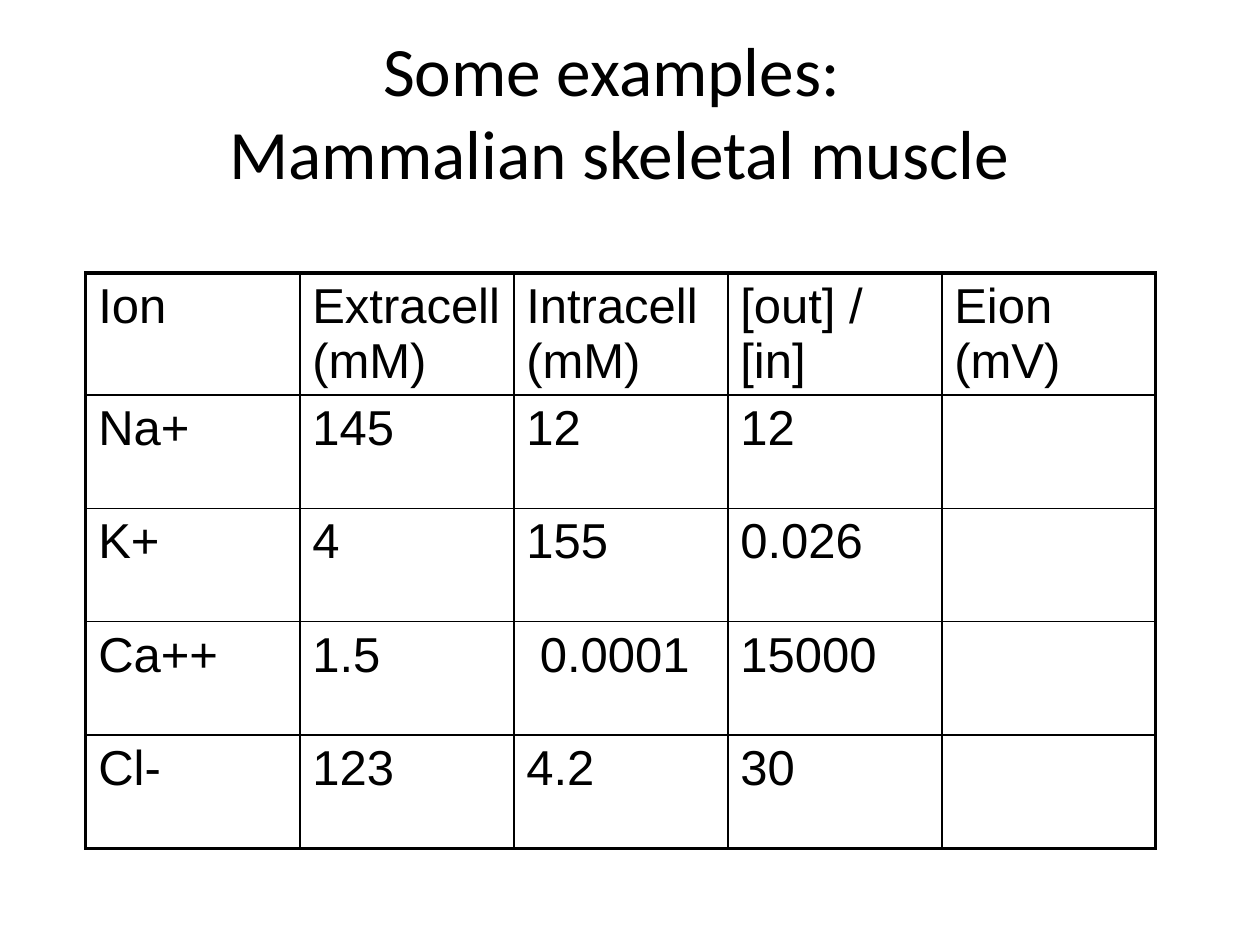
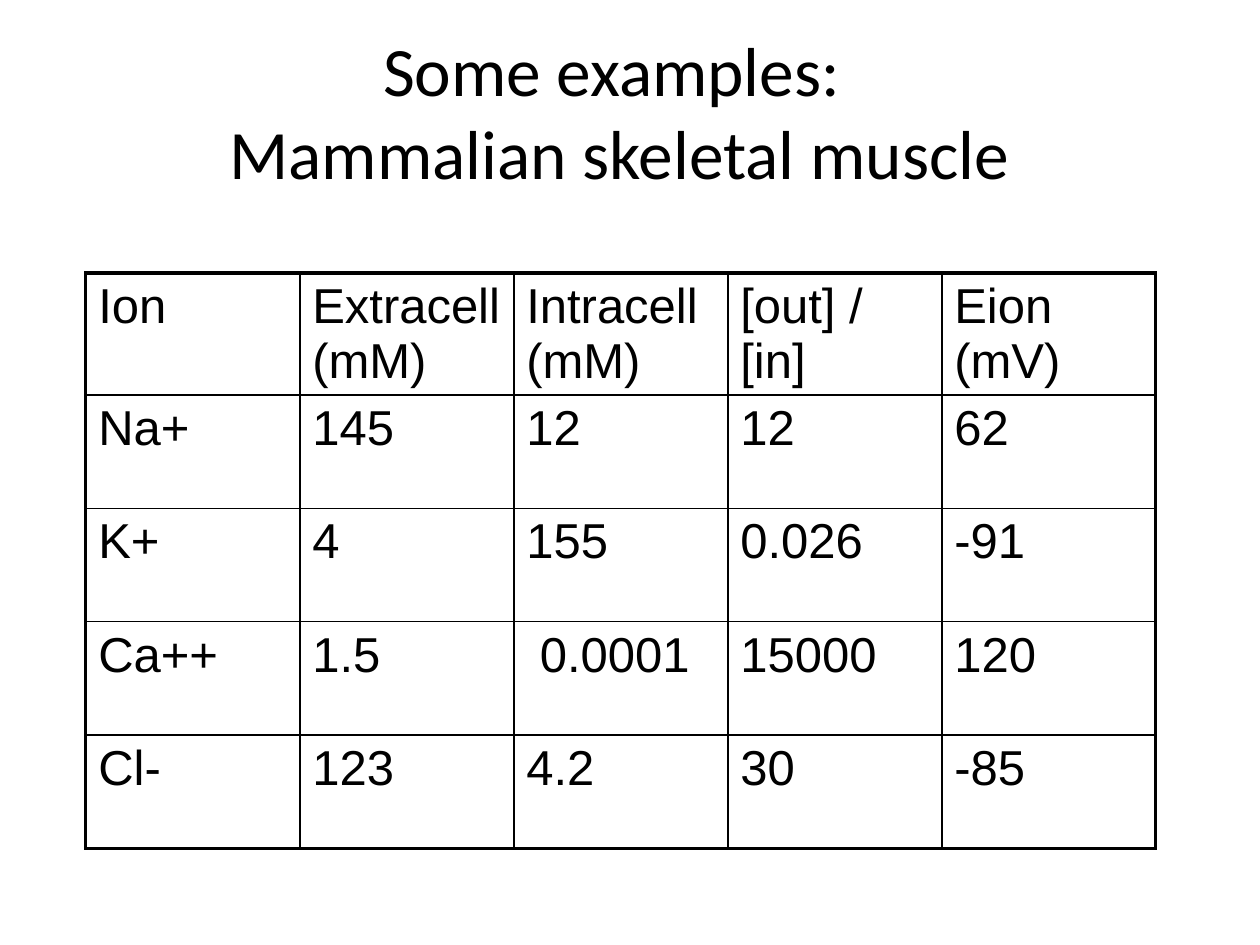
import lxml.etree
import pptx
import pptx.dml.color
import pptx.enum.text
import pptx.oxml.ns
import pptx.util

Pt = pptx.util.Pt

INK = "000000"
PAPER = "FFFFFF"
TITLE = "Some examples: \vMammalian skeletal muscle"
HEADINGS = ["Ion", "Extracell (mM)", "Intracell (mM)", "[out] / [in]", "Eion (mV)"]
IONS = [
    ["Na+", "145", "12", "12"],
    ["K+", "4", "155", "0.026"],
    ["Ca++", "1.5", " 0.0001", "15000"],
    ["Cl-", "123", "4.2", "30"],
]
POTENTIALS = ["62", "-91", "120", "-85"]
UNSOLVED = [""] * len(IONS)
COLUMN_WIDTH = 122.3
ROW_HEIGHT = 64.8
OUTER_LINE = 2.25
INNER_LINE = 1


def color(hex_value):
    return pptx.dml.color.RGBColor.from_string(hex_value)


def set_font(paragraph, name, size):
    paragraph.font.name = name
    paragraph.font.size = Pt(size)
    paragraph.font.color.rgb = color(INK)


def add_title(slide):
    title = slide.shapes.title
    title.left, title.top, title.width, title.height = Pt(48), Pt(18), Pt(612), Pt(90)
    frame = title.text_frame
    frame.text = TITLE
    frame.word_wrap = True
    frame.auto_size = pptx.enum.text.MSO_AUTO_SIZE.NONE
    frame.vertical_anchor = pptx.enum.text.MSO_ANCHOR.MIDDLE
    heading = frame.paragraphs[0]
    heading.alignment = pptx.enum.text.PP_ALIGN.CENTER
    set_font(heading, "Calibri", 39.6)


def add_border(cell, side, width):
    qn = pptx.oxml.ns.qn
    properties = cell._tc.get_or_add_tcPr()
    line = lxml.etree.SubElement(properties, qn(f"a:ln{side}"), w=str(Pt(width)))
    fill = lxml.etree.SubElement(line, qn("a:solidFill"))
    lxml.etree.SubElement(fill, qn("a:srgbClr"), val=INK)


def fill_cell(cell, text, outer_sides):
    cell.text = text
    set_font(cell.text_frame.paragraphs[0], "Arial", 28)
    for side, is_outer in outer_sides.items():
        add_border(cell, side, OUTER_LINE if is_outer else INNER_LINE)
    cell.fill.background()


def add_ion_table(slide, potentials):
    rows = [HEADINGS] + [ion + [value] for ion, value in zip(IONS, potentials)]
    last_row, last_column = len(rows) - 1, len(HEADINGS) - 1
    ion_table = slide.shapes.add_table(
        len(rows), len(HEADINGS), Pt(49), Pt(156),
        Pt(COLUMN_WIDTH * len(HEADINGS)), Pt(ROW_HEIGHT * len(rows)),
    ).table
    ion_table.first_row = False
    ion_table.horz_banding = False
    for column in ion_table.columns:
        column.width = Pt(COLUMN_WIDTH)
    for row in ion_table.rows:
        row.height = Pt(ROW_HEIGHT)
    for r, values in enumerate(rows):
        for c, value in enumerate(values):
            outer_sides = {
                "L": c == 0,
                "R": c == last_column,
                "T": r == 0,
                "B": r == last_row,
            }
            fill_cell(ion_table.cell(r, c), value, outer_sides)


def add_ion_slide(deck, potentials):
    slide = deck.slides.add_slide(deck.slide_layouts.get_by_name("Title Only"))
    slide.background.fill.solid()
    slide.background.fill.fore_color.rgb = color(PAPER)
    add_title(slide)
    add_ion_table(slide, potentials)


def main():
    deck = pptx.Presentation()
    deck.slide_width, deck.slide_height = Pt(720), Pt(540)
    for potentials in (UNSOLVED, POTENTIALS):
        add_ion_slide(deck, potentials)
    deck.save("out.pptx")


if __name__ == "__main__":
    main()
